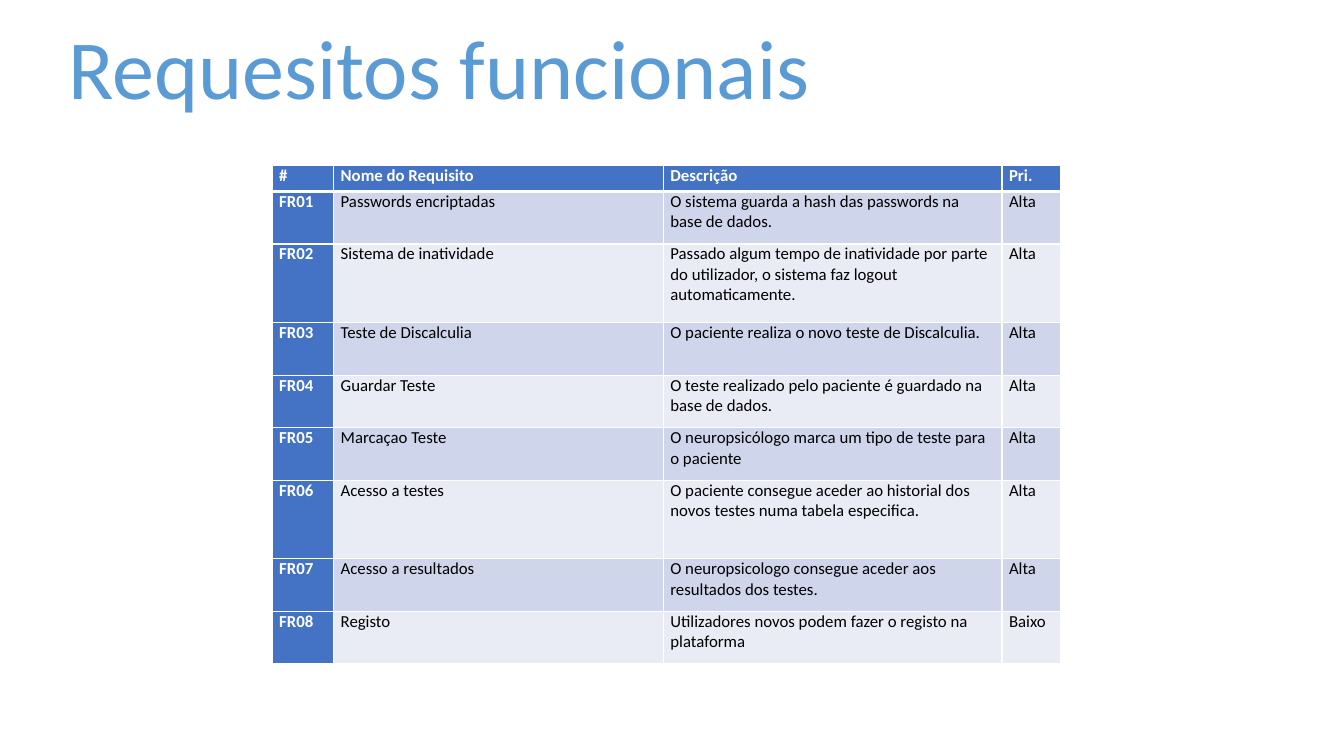
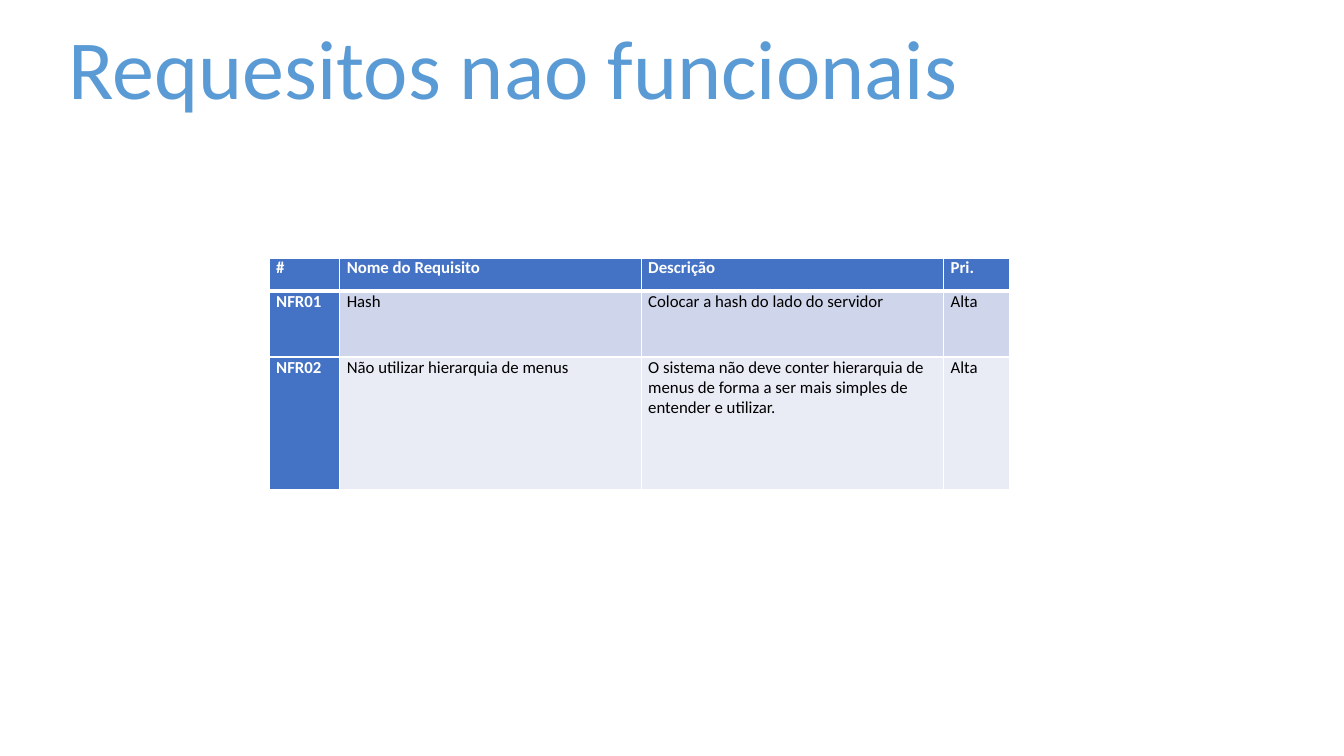
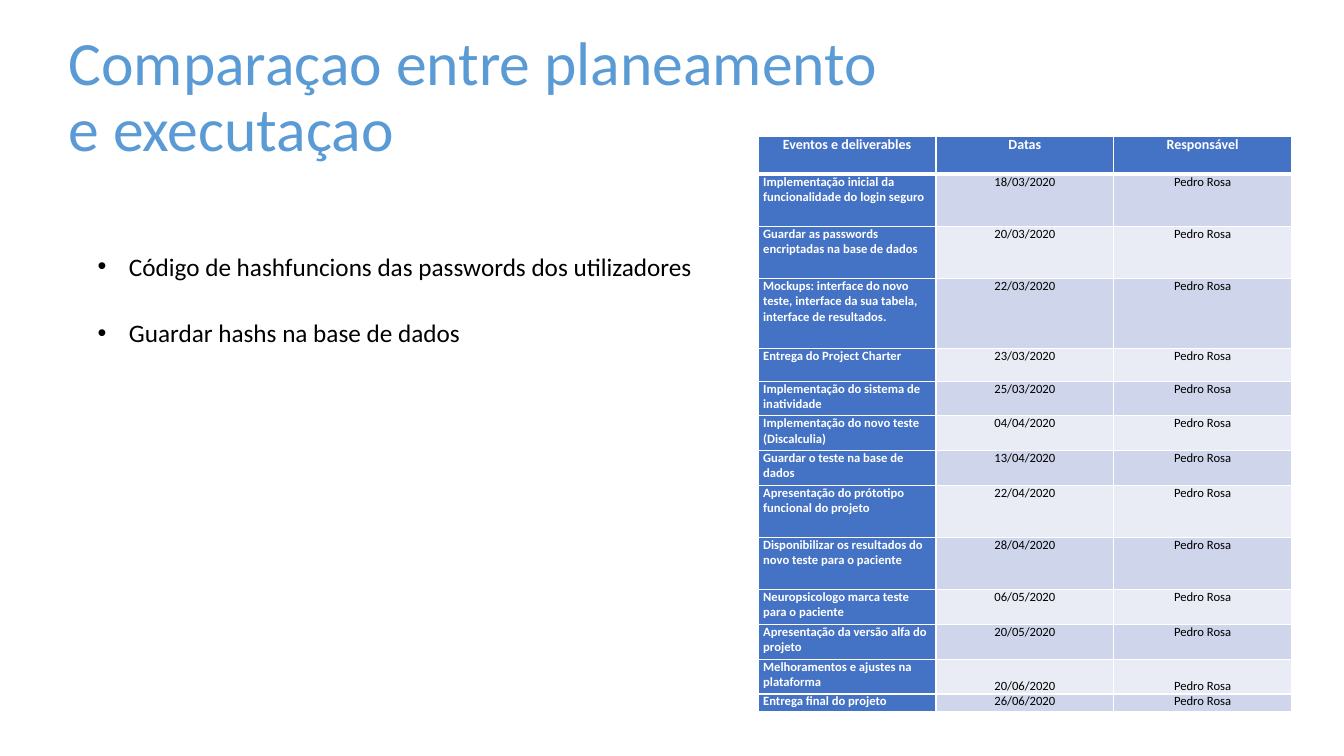
import pptx
import pptx.dml.color
import pptx.enum.text
import pptx.oxml
import pptx.oxml.ns
import pptx.util

ALIGN = pptx.enum.text.PP_ALIGN
ANCHOR = pptx.enum.text.MSO_ANCHOR
AUTO_SIZE = pptx.enum.text.MSO_AUTO_SIZE

REQUIREMENT_HEADER = ("#", "Nome do Requisito", "Descrição", "Pri.")
FUNCTIONAL = [
    ("FR01", "Passwords encriptadas", "O sistema guarda a hash das passwords na base de dados.", "Alta"),
    ("FR02", "Sistema de inatividade", "Passado algum tempo de inatividade por parte do utilizador, "
     "o sistema faz logout automaticamente.", "Alta"),
    ("FR03", "Teste de Discalculia", "O paciente realiza o novo teste de Discalculia.", "Alta"),
    ("FR04", "Guardar Teste", "O teste realizado pelo paciente é guardado na base de dados.", "Alta"),
    ("FR05", "Marcaçao Teste", "O neuropsicólogo marca um tipo de teste para o paciente", "Alta"),
    ("FR06", "Acesso a testes", "O paciente consegue aceder ao historial dos novos testes "
     "numa tabela especifica.", "Alta"),
    ("FR07", "Acesso a resultados", "O neuropsicologo consegue aceder aos resultados dos testes.", "Alta"),
    ("FR08", "Registo", "Utilizadores novos podem fazer o registo na plataforma", "Baixo"),
]
NON_FUNCTIONAL = [
    ("NFR01", "Hash", "Colocar a hash do lado do servidor", "Alta"),
    ("NFR02", "Não utilizar hierarquia de menus", "O sistema não deve conter hierarquia de menus "
     "de forma a ser mais simples de entender e utilizar.", "Alta"),
]
SCHEDULE_HEADER = ("Eventos e deliverables", "Datas", "Responsável")
RESPONSIBLE = "Pedro Rosa"
SCHEDULE = [
    ("Implementação inicial da funcionalidade do login seguro", "18/03/2020"),
    ("Guardar as passwords encriptadas na base de dados", "20/03/2020"),
    ("Mockups: interface do novo teste, interface da sua tabela, interface de resultados.", "22/03/2020"),
    ("Entrega do Project Charter", "23/03/2020"),
    ("Implementação do sistema de inatividade", "25/03/2020"),
    ("Implementação do novo teste (Discalculia)", "04/04/2020"),
    ("Guardar o teste na base de dados", "13/04/2020"),
    ("Apresentação do prótotipo funcional do projeto", "22/04/2020"),
    ("Disponibilizar os resultados do novo teste para o paciente", "28/04/2020"),
    ("Neuropsicologo marca teste para o paciente", "06/05/2020"),
    ("Apresentação da versão alfa do projeto", "20/05/2020"),
    ("Melhoramentos e ajustes na plataforma", "20/06/2020"),
    ("Entrega final do projeto", "26/06/2020"),
]


def color(value):
    """Turn a hex string into a colour."""
    return pptx.dml.color.RGBColor.from_string(value)


class Deck:
    """Hold the shared style and the current slide; lengths are percentages of the slide."""

    FONT = "Calibri"
    TITLE, BLUE, WHITE, BLACK = "5B9BD5", "4472C4", "FFFFFF", "000000"
    BANDS = ("E9EBF5", "CFD5EA")

    def __init__(self):
        """Start a widescreen presentation."""
        self.presentation = pptx.Presentation()
        self.presentation.slide_width = pptx.util.Inches(13.33)
        self.presentation.slide_height = pptx.util.Inches(7.5)
        self.slide = None

    def across(self, share):
        """Convert a percentage of the slide width."""
        return round(self.presentation.slide_width * share / 100)

    def down(self, share):
        """Convert a percentage of the slide height."""
        return round(self.presentation.slide_height * share / 100)

    def box(self, left, top, width, height):
        """Convert a whole box given in percentages."""
        return self.across(left), self.down(top), self.across(width), self.down(height)

    def format_runs(self, paragraph, size, hex_color, bold=False):
        """Apply the deck font to every run of a paragraph."""
        for run in paragraph.runs:
            run.font.name = self.FONT
            run.font.size = pptx.util.Pt(size)
            run.font.bold = bold
            run.font.color.rgb = color(hex_color)

    def add_slide(self, title, size, top, width, height):
        """Add a slide and place its title."""
        self.slide = self.presentation.slides.add_slide(self.presentation.slide_layouts[5])
        shape = self.slide.shapes.title
        shape.left, shape.top, shape.width, shape.height = self.box(4.35, top, width, height)
        frame = shape.text_frame
        frame.text = title
        frame.auto_size = AUTO_SIZE.NONE
        frame.vertical_anchor = ANCHOR.MIDDLE
        paragraph = frame.paragraphs[0]
        paragraph.alignment = ALIGN.LEFT
        paragraph.line_spacing = 0.9
        self.format_runs(paragraph, size, self.TITLE)

    def add_bullet(self, text, top, width):
        """Add a one-line bulleted text box."""
        shape = self.slide.shapes.add_textbox(*self.box(6.53, top, width, 5.33))
        frame = shape.text_frame
        frame.word_wrap = False
        frame.auto_size = AUTO_SIZE.SHAPE_TO_FIT_TEXT
        paragraph = frame.paragraphs[0]
        paragraph.text = text
        properties = paragraph._p.get_or_add_pPr()
        indent = pptx.util.Inches(0.31)
        properties.set("marL", str(indent))
        properties.set("indent", str(-indent))
        namespace = pptx.oxml.ns.nsdecls("a")
        properties.append(pptx.oxml.parse_xml(f'<a:buFont {namespace} typeface="Arial"/>'))
        properties.append(pptx.oxml.parse_xml(f'<a:buChar {namespace} char="•"/>'))
        self.format_runs(paragraph, 18, self.BLACK)

    def add_borders(self, cell, row):
        """Draw white cell borders, thicker under the header."""
        thick = {(0, "B"), (1, "T")}
        properties = cell._tc.get_or_add_tcPr()
        for side in "LRTB":
            width = pptx.util.Pt(3 if (row, side) in thick else 1)
            properties.append(pptx.oxml.parse_xml(
                f'<a:ln{side} {pptx.oxml.ns.nsdecls("a")} w="{width}"><a:solidFill>'
                f'<a:srgbClr val="{self.WHITE}"/></a:solidFill></a:ln{side}>'))

    def add_table(self, left, top, widths, line_height, line_counts, rows,
                  header_size=12, body_size=12, inset=0.07, centered=False):
        """Add a banded table whose row heights are multiples of one line."""
        box = self.box(left, top, sum(widths), line_height * sum(line_counts))
        table = self.slide.shapes.add_table(len(rows), len(widths), *box).table
        for column, width in zip(table.columns, widths):
            column.width = self.across(width)
        for row, count in zip(table.rows, line_counts):
            row.height = self.down(line_height * count)
        for row, texts in enumerate(rows):
            for column, text in enumerate(texts):
                cell = table.cell(row, column)
                heading = row == 0 or column == 0
                cell.text = text
                cell.margin_left = cell.margin_right = pptx.util.Inches(inset)
                cell.margin_top = cell.margin_bottom = 0
                self.add_borders(cell, row)
                cell.fill.solid()
                cell.fill.fore_color.rgb = color(self.BLUE if heading else self.BANDS[row % 2])
                paragraph = cell.text_frame.paragraphs[0]
                if centered and (row == 0 or column > 0):
                    paragraph.alignment = ALIGN.CENTER
                self.format_runs(paragraph, body_size if row else header_size,
                                 self.WHITE if heading else self.BLACK, heading)
        return table


def main():
    """Build the three slides."""
    deck = Deck()

    deck.add_slide("Requesitos funcionais", 60, -0.13, 86.25, 19.33)
    deck.add_table(20.25, 21.87, (4.58, 24.53, 25.2, 4.35), 3.47,
                   (1, 2, 3, 2, 2, 2, 3, 2, 2), [REQUIREMENT_HEADER, *FUNCTIONAL])

    deck.add_slide("Requesitos nao funcionais", 60, -0.13, 86.25, 19.33)
    deck.add_table(20.03, 34.13, (5.25, 22.43, 22.5, 4.88), 4.37,
                   (1, 2, 4), [REQUIREMENT_HEADER, *NON_FUNCTIONAL])

    deck.add_slide("Comparaçao entre planeamento\ve executaçao", 44, 2, 93.7, 22.13)
    deck.add_bullet("Código de hashfuncions das passwords dos utilizadores", 32.53, 46.29)
    deck.add_bullet("Guardar hashs na base de dados", 41.33, 28.81)
    schedule = [SCHEDULE_HEADER, *((event, date, RESPONSIBLE) for event, date in SCHEDULE)]
    table = deck.add_table(56.41, 18, (13.23,) * 3, 2.3,
                           (2.2, 3, 3, 4, 1.9, 2, 2, 2, 3, 3, 2, 2, 2, 1), schedule,
                           header_size=10, body_size=9, inset=0.05, centered=True)
    for column in (1, 2):
        table.cell(len(SCHEDULE) - 1, column).vertical_anchor = ANCHOR.BOTTOM

    deck.presentation.save("out.pptx")


if __name__ == "__main__":
    main()
